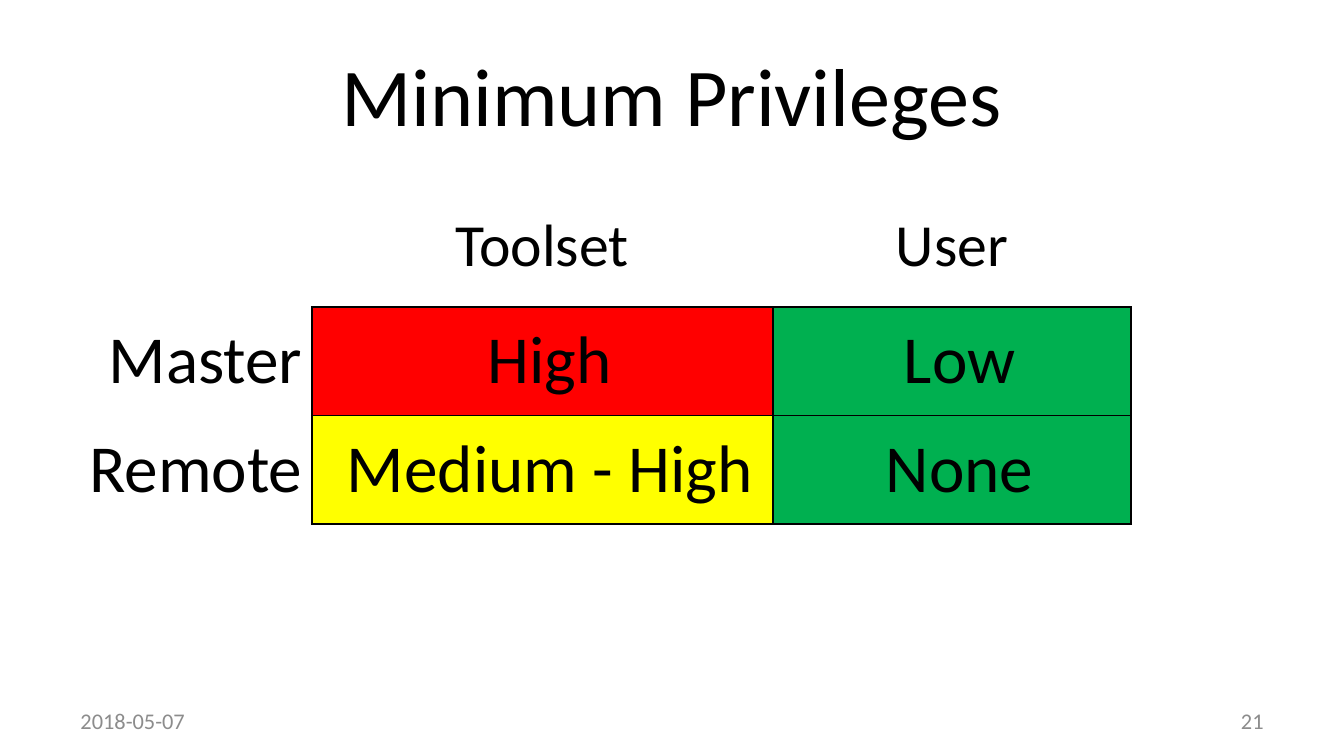
"""Build the Minimum Privileges slide with its colour-coded table."""
from lxml.etree import SubElement
from pptx import Presentation
from pptx.dml.color import RGBColor
from pptx.enum.text import MSO_ANCHOR, PP_ALIGN
from pptx.oxml.ns import qn
from pptx.util import Pt

BLACK = RGBColor(0x00, 0x00, 0x00)
GRAY = RGBColor(0x8C, 0x8C, 0x8C)
RED = RGBColor(0xFF, 0x00, 0x00)
YELLOW = RGBColor(0xFF, 0xFF, 0x00)
GREEN = RGBColor(0x00, 0xB0, 0x50)


def write_text(paragraph, text, size, color, alignment):
    paragraph.alignment = alignment
    run = paragraph.add_run()
    run.text = text
    run.font.name = "Calibri"
    run.font.size = Pt(size)
    run.font.color.rgb = color


def set_border(cell, position, tag, visible):
    properties = cell._tc.get_or_add_tcPr()
    line = SubElement(properties, qn(tag), w=str(Pt(1)))
    if visible:
        fill = SubElement(line, qn("a:solidFill"))
        SubElement(fill, qn("a:srgbClr"), val=str(BLACK))
    else:
        SubElement(line, qn("a:noFill"))
    properties.insert(position, line)


presentation = Presentation()
presentation.slide_width = Pt(720)
presentation.slide_height = Pt(405)
slide = presentation.slides.add_slide(presentation.slide_layouts[6])

texts = [
    ("Minimum Privileges", 36, 16.5, 648, 67.5, 44, BLACK, PP_ALIGN.CENTER),
    ("2018-05-07", 36, 375.4, 168, 21.6, 12, GRAY, PP_ALIGN.LEFT),
    ("21", 516, 375.4, 168, 21.6, 12, GRAY, PP_ALIGN.RIGHT),
]
for text, left, top, width, height, size, color, alignment in texts:
    shape = slide.shapes.add_textbox(Pt(left), Pt(top), Pt(width), Pt(height))
    frame = shape.text_frame
    frame.word_wrap = True
    frame.vertical_anchor = MSO_ANCHOR.MIDDLE
    write_text(frame.paragraphs[0], text, size, color, alignment)

labels = [
    ["", "Toolset", "User"],
    ["Master", " High", " Low"],
    ["Remote", " Medium - High", " None"],
]
fills = {(1, 1): RED, (1, 2): GREEN, (2, 1): YELLOW, (2, 2): GREEN}
column_widths = [155, 247, 192]
row_height = 58.1

table = slide.shapes.add_table(
    3, 3, Pt(12), Pt(106.5), Pt(sum(column_widths)), Pt(3 * row_height)
).table
table.first_row = False
table.horz_banding = False
for column, width in zip(table.columns, column_widths):
    column.width = Pt(width)

for row_index, row_labels in enumerate(labels):
    table.rows[row_index].height = Pt(row_height)
    for column_index, label in enumerate(row_labels):
        cell = table.cell(row_index, column_index)
        cell.margin_left = cell.margin_right = Pt(5)
        cell.margin_top = cell.margin_bottom = Pt(0)
        cell.vertical_anchor = MSO_ANCHOR.TOP
        if (row_index, column_index) in fills:
            cell.fill.solid()
            cell.fill.fore_color.rgb = fills[row_index, column_index]
        else:
            cell.fill.background()
        if label:
            paragraph = cell.text_frame.paragraphs[0]
            paragraph.line_spacing = 1.15
            size = 36 if row_index else 32
            alignment = PP_ALIGN.CENTER if column_index else PP_ALIGN.RIGHT
            write_text(paragraph, label, size, BLACK, alignment)
        in_grid = row_index > 0 and column_index > 0
        borders = [
            ("a:lnL", in_grid),
            ("a:lnR", row_index > 0),
            ("a:lnT", in_grid),
            ("a:lnB", column_index > 0),
        ]
        for position, (tag, visible) in enumerate(borders):
            set_border(cell, position, tag, visible)

presentation.save("out.pptx")
